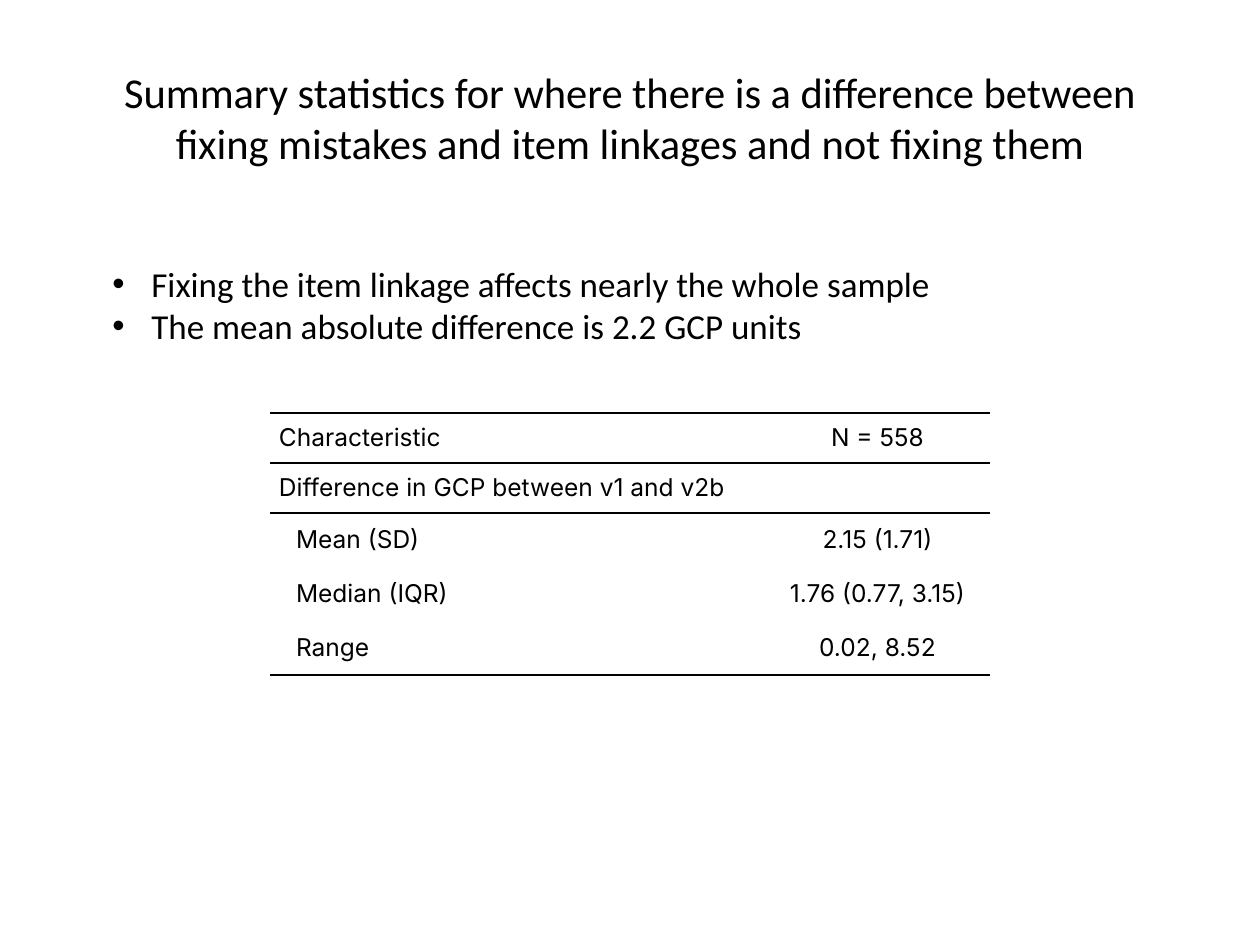
from dataclasses import dataclass

from lxml.etree import SubElement
from pptx import Presentation
from pptx.dml.color import RGBColor
from pptx.enum.text import MSO_ANCHOR, PP_ALIGN
from pptx.oxml.ns import qn
from pptx.util import Pt

EMU_PER_PIXEL = 914400 / 126
PLAIN_TABLE_STYLE = "{2D5ABB26-0587-4C30-8999-92F81FD0307C}"


@dataclass(frozen=True)
class Theme:
    """Colours, fonts and type sizes of the slide."""
    ink: str = "000000"
    text_font: str = "Calibri"
    table_font: str = "Inter"
    title_size: float = 24.3
    bullet_size: float = 20
    table_size: float = 14
    rule_width: float = 1


def emu(pixels):
    """Turn pixels into EMU."""
    return round(pixels * EMU_PER_PIXEL)


def write(paragraph, text, *, font, size, color, align=PP_ALIGN.LEFT,
          margin=0, hanging=0, space=0, bullet=None):
    """Fill a paragraph with one formatted run."""
    paragraph.alignment = align
    paragraph.space_before = paragraph.space_after = Pt(space)
    properties = paragraph._p.get_or_add_pPr()
    properties.set("marL", str(emu(margin)))
    properties.set("indent", str(-emu(hanging)))
    if bullet:
        SubElement(properties, qn("a:buFont"), typeface="Arial")
        SubElement(properties, qn("a:buChar"), char=bullet)
    run = paragraph.add_run()
    run.text = text
    run.font.name = font
    run.font.size = Pt(size)
    run.font.color.rgb = RGBColor.from_string(color)


class SlideBuilder:
    """Adds styled elements to one slide."""

    def __init__(self, slide, theme):
        """Keep the slide and its theme."""
        self.slide = slide
        self.theme = theme

    def text(self, box, lines, *, anchor=MSO_ANCHOR.TOP, **style):
        """Add a text box with one paragraph per line."""
        frame = self.slide.shapes.add_textbox(*map(emu, box)).text_frame
        frame.word_wrap = True
        frame.vertical_anchor = anchor
        for index, line in enumerate(lines):
            paragraph = frame.add_paragraph() if index else frame.paragraphs[0]
            write(paragraph, line, font=self.theme.text_font,
                  color=self.theme.ink, **style)

    def rule(self, cell, side):
        """Draw a border on one side of a cell: T or B."""
        properties = cell._tc.get_or_add_tcPr()
        line = SubElement(properties, qn(f"a:ln{side}"),
                          w=str(Pt(self.theme.rule_width)))
        fill = SubElement(line, qn("a:solidFill"))
        SubElement(fill, qn("a:srgbClr"), val=self.theme.ink)

    def table(self, left, top, widths, heights, rows):
        """Add a table ruled around its header and below its last row."""
        shape = self.slide.shapes.add_table(
            len(rows), len(widths), emu(left), emu(top),
            emu(sum(widths)), emu(sum(heights)))
        table = shape.table
        table.first_row = table.horz_banding = False
        table._tbl.tblPr.find(qn("a:tableStyleId")).text = PLAIN_TABLE_STYLE
        for column, width in zip(table.columns, widths):
            column.width = emu(width)
        for row, height in zip(table.rows, heights):
            row.height = emu(height)
        sides = {0: "TB", 1: "T", len(rows) - 1: "B"}
        for row_index, values in enumerate(rows):
            for column_index, value in enumerate(values):
                cell = table.cell(row_index, column_index)
                for side in sides.get(row_index, ""):
                    self.rule(cell, side)
                self.cell(cell, value,
                          centred=column_index > 0,
                          nested=row_index > 1 and column_index == 0,
                          space=5 if row_index else 2)

    def cell(self, cell, value, *, centred, nested, space):
        """Set the fill, margins and text of one table cell."""
        cell.fill.background()
        cell.vertical_anchor = MSO_ANCHOR.MIDDLE
        cell.margin_left = cell.margin_right = 0
        cell.margin_top = cell.margin_bottom = 0
        if value:
            write(cell.text_frame.paragraphs[0], value,
                  font=self.theme.table_font, size=self.theme.table_size,
                  color=self.theme.ink, space=space,
                  align=PP_ALIGN.CENTER if centred else PP_ALIGN.LEFT,
                  margin=26 if nested else 9)


def main():
    """Build and save the presentation."""
    presentation = Presentation()
    presentation.slide_width = emu(1260)
    presentation.slide_height = emu(945)
    theme = Theme()
    slide = presentation.slides.add_slide(presentation.slide_layouts[6])
    builder = SlideBuilder(slide, theme)
    builder.text(
        (63, 38, 1134, 158),
        ["Summary statistics for where there is a difference between "
         "fixing mistakes and item linkages and not fixing them"],
        anchor=MSO_ANCHOR.MIDDLE, size=theme.title_size,
        align=PP_ALIGN.CENTER)
    builder.table(
        270, 413, [486, 234], [50, 50, 54, 54, 54],
        [("Characteristic", "N = 558"),
         ("Difference in GCP between v1 and v2b", ""),
         ("Mean (SD)", "2.15 (1.71)"),
         ("Median (IQR)", "1.76 (0.77, 3.15)"),
         ("Range", "0.02, 8.52")])
    builder.text(
        (100, 256, 1062, 97),
        ["Fixing the item linkage affects nearly the whole sample",
         "The mean absolute difference is 2.2 GCP units"],
        size=theme.bullet_size, margin=39, hanging=39, bullet="•")
    presentation.save("out.pptx")


main()
